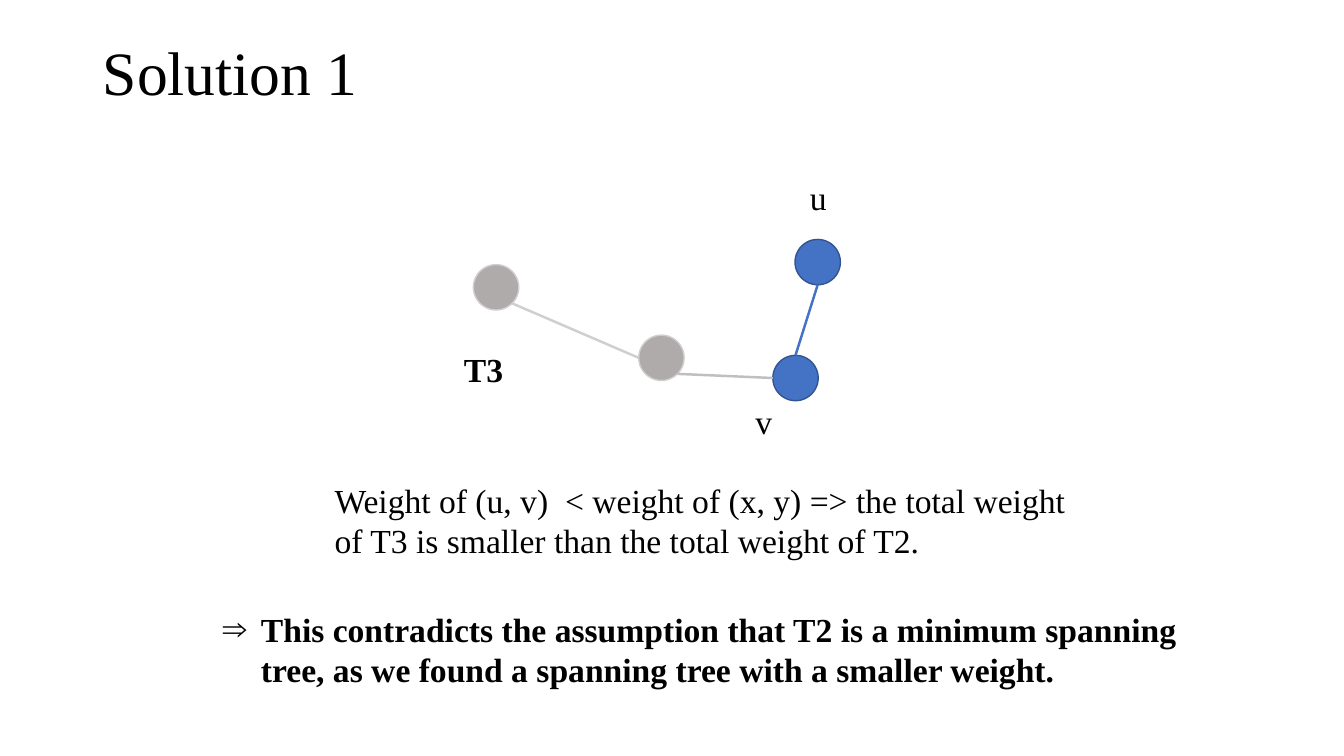
"""Build the slide that shows spanning tree T3 and the resulting contradiction."""
from dataclasses import dataclass
from math import cos, radians, sin

from lxml.etree import SubElement
from pptx import Presentation
from pptx.dml.color import RGBColor
from pptx.enum.shapes import MSO_CONNECTOR, MSO_SHAPE
from pptx.enum.text import MSO_ANCHOR, PP_ALIGN
from pptx.oxml.ns import qn
from pptx.util import Inches, Pt

TITLE = "Solution 1"
NODES = {
    "left": (4.92, 2.85, "grey"),
    "middle": (6.56, 3.55, "grey"),
    "u": (8.11, 2.6, "blue"),
    "v": (7.89, 3.75, "blue"),
}
EDGES = [
    ("left", 45, "middle", 180, "pale"),
    ("u", 90, "v", 270, "blue"),
    ("middle", 45, "v", 180, "silver"),
]
LABELS = [
    ("T3", 4.29, 3.41, 1.01, True),
    ("u", 7.93, 1.71, 0.37, False),
    ("v", 7.39, 3.93, 0.37, False),
]
COMPARISON = (
    "Weight of (u, v)  < weight of (x, y) => "
    "the total weight of T3 is smaller than the total weight of T2."
)
CONCLUSION = (
    "This contradicts the assumption that T2 is a minimum spanning tree, "
    "as we found a spanning tree with a smaller weight."
)
NODE_SIZE = 0.45
LABEL_HEIGHT = 0.5
BODY_HEIGHT = 0.91
BULLET_INDENT = 0.38


@dataclass(frozen=True)
class Theme:
    font: str = "Times New Roman"
    title_size: int = 44
    body_size: int = 24
    outline: float = 1
    edge: float = 1.75
    text: str = "000000"
    blue: str = "4472C4"
    blue_outline: str = "325491"
    grey: str = "AFABAB"
    grey_outline: str = "D0CECE"
    pale: str = "D0CECE"
    silver: str = "BFBFBF"

    def color(self, name):
        return RGBColor.from_string(getattr(self, name))


THEME = Theme()


def style(para, size, bold=False):
    para.font.name = THEME.font
    para.font.size = Pt(size)
    para.font.bold = bold
    para.font.color.rgb = THEME.color("text")


def add_text(slide, text, left, top, width, height, bold=False, align=PP_ALIGN.LEFT):
    box = slide.shapes.add_textbox(*map(Inches, (left, top, width, height)))
    box.text_frame.word_wrap = True
    para = box.text_frame.paragraphs[0]
    para.text = text
    para.alignment = align
    style(para, THEME.body_size, bold)
    return para


def add_bullet(para, character):
    properties = para._p.get_or_add_pPr()
    properties.set("marL", str(Inches(BULLET_INDENT)))
    properties.set("indent", str(-Inches(BULLET_INDENT)))
    SubElement(properties, qn("a:buFont")).set("typeface", THEME.font)
    SubElement(properties, qn("a:buChar")).set("char", character)


def add_node(slide, center_x, center_y, color):
    corner = center_x - NODE_SIZE / 2, center_y - NODE_SIZE / 2
    node = slide.shapes.add_shape(
        MSO_SHAPE.OVAL, *map(Inches, (*corner, NODE_SIZE, NODE_SIZE))
    )
    node.shadow.inherit = False
    node.fill.solid()
    node.fill.fore_color.rgb = THEME.color(color)
    node.line.color.rgb = THEME.color(f"{color}_outline")
    node.line.width = Pt(THEME.outline)


def rim_point(name, angle):
    center_x, center_y, _ = NODES[name]
    radius = NODE_SIZE / 2
    return (
        Inches(center_x + radius * cos(radians(angle))),
        Inches(center_y + radius * sin(radians(angle))),
    )


def add_edge(slide, start, start_angle, end, end_angle, color):
    edge = slide.shapes.add_connector(
        MSO_CONNECTOR.STRAIGHT, *rim_point(start, start_angle), *rim_point(end, end_angle)
    )
    edge.line.color.rgb = THEME.color(color)
    edge.line.width = Pt(THEME.edge)
    SubElement(edge._element.spPr, qn("a:effectLst"))


def add_title(slide):
    title = slide.shapes.title
    title.left, title.top, title.width, title.height = map(Inches, (0.92, 0.02, 11.5, 1.45))
    title.text_frame.vertical_anchor = MSO_ANCHOR.MIDDLE
    para = title.text_frame.paragraphs[0]
    para.text = TITLE
    para.alignment = PP_ALIGN.LEFT
    para.line_spacing = 0.9
    style(para, THEME.title_size)


def main():
    deck = Presentation()
    deck.slide_width, deck.slide_height = Inches(13.33), Inches(7.5)
    page = deck.slides.add_slide(deck.slide_layouts[5])
    add_title(page)
    for node in NODES.values():
        add_node(page, *node)
    for edge in EDGES:
        add_edge(page, *edge)
    for text, left, top, width, bold in LABELS:
        add_text(page, text, left, top, width, LABEL_HEIGHT, bold, PP_ALIGN.CENTER)
    add_text(page, COMPARISON, 3.22, 4.71, 7.53, BODY_HEIGHT)
    conclusion = add_text(page, CONCLUSION, 2.11, 5.99, 9.74, BODY_HEIGHT, bold=True)
    add_bullet(conclusion, "⇒")
    deck.save("out.pptx")


if __name__ == "__main__":
    main()
